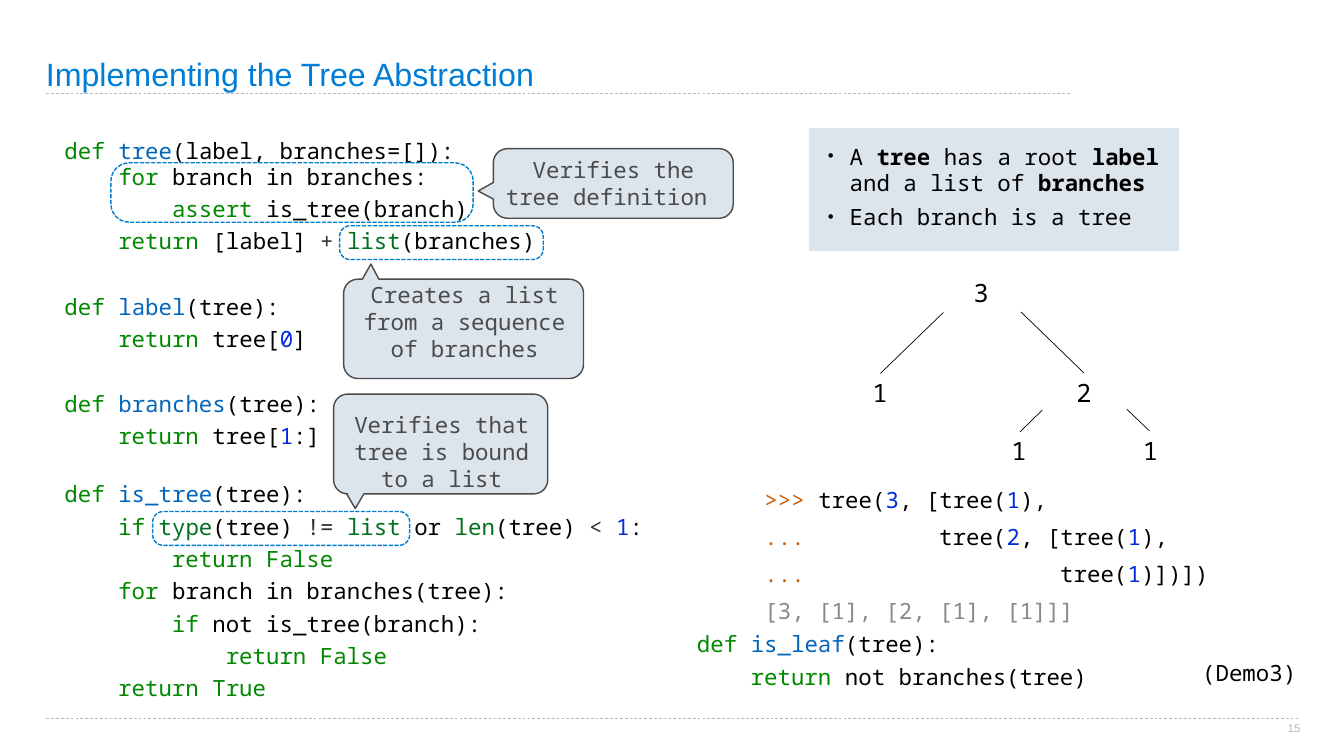
"""Builds the slide on implementing the tree abstraction."""
from math import cos, pi, sin

from lxml import etree
from pptx import Presentation
from pptx.dml.color import RGBColor
from pptx.enum.dml import MSO_LINE
from pptx.enum.shapes import MSO_CONNECTOR, MSO_SHAPE
from pptx.enum.text import MSO_ANCHOR, MSO_AUTO_SIZE, PP_ALIGN
from pptx.oxml.ns import qn
from pptx.util import Inches, Pt

STRAIGHT, ROUNDED = MSO_CONNECTOR.STRAIGHT, MSO_SHAPE.ROUNDED_RECTANGLE
DASH, SHORT_DASH = MSO_LINE.DASH, MSO_LINE.SQUARE_DOT
TOP, MIDDLE, BOTTOM = MSO_ANCHOR.TOP, MSO_ANCHOR.MIDDLE, MSO_ANCHOR.BOTTOM
LEFT, CENTER = PP_ALIGN.LEFT, PP_ALIGN.CENTER
GROW, FIXED = MSO_AUTO_SIZE.SHAPE_TO_FIT_TEXT, MSO_AUTO_SIZE.NONE
MONO, SANS = "Noto Sans Mono", "Arial"
COLORS = {
    "title": "007DD6", "rule": "B8B8B8", "panel": "DCE4EC", "gray": "4B4B4B",
    "highlight": "007ECF", "text": "000000", "keyword": "008800", "name": "0066BB",
    "number": "032ADD", "operator": "323333", "builtin": "01701F",
    "prompt": "C65E0A", "output": "888888",
}


def color(name):
    """Return the named colour."""
    return RGBColor.from_string(COLORS[name])


def assign(target, values):
    """Set each attribute in values on the target."""
    for name, value in values.items():
        setattr(target, name, value)


class SlideBuilder:
    """Holds the style and the current slide."""

    def __init__(self, presentation):
        """Add a slide with a title and a body."""
        self.slide = presentation.slides.add_slide(presentation.slide_layouts[1])
        self.shapes = self.slide.shapes
        self.font, self.size = MONO, 32

    def place(self, shape, box):
        """Move a shape to left, top, width and height."""
        names = ("left", "top", "width", "height")
        assign(shape, dict(zip(names, map(Inches, box))))

    def frame(self, shape, margins, anchor=MIDDLE, wrap=True, auto_size=FIXED):
        """Format the text frame of a shape and return it."""
        frame = shape.text_frame
        names = ("margin_left", "margin_top", "margin_right", "margin_bottom")
        assign(frame, dict(zip(names, map(Inches, margins))))
        assign(frame, {"vertical_anchor": anchor, "word_wrap": wrap, "auto_size": auto_size})
        return frame

    def add_lines(self, frame, lines, size=None, font=None, bullet=False, **paragraph_format):
        """Add lines of (style, text) runs; a bold style means bold black."""
        for index, line in enumerate(lines):
            paragraph = frame.paragraphs[0] if index == 0 else frame.add_paragraph()
            if bullet:
                self.bullet(paragraph)
            assign(paragraph, {"alignment": LEFT, "space_before": Pt(0), **paragraph_format})
            if bullet and index:
                paragraph.space_before = Pt(10)
            for style, text in line:
                run = paragraph.add_run()
                run.text = text
                assign(run.font, {"name": font or self.font, "size": Pt(size or self.size),
                                  "bold": style == "bold"})
                run.font.color.rgb = color("text" if style == "bold" else style)

    def bullet(self, paragraph):
        """Give a paragraph a small round bullet and a hanging indent."""
        properties = paragraph._p.get_or_add_pPr()
        properties.set("marL", str(Inches(0.52)))
        properties.set("indent", str(Inches(-0.43)))
        etree.SubElement(properties, qn("a:buSzPct")).set("val", "75000")
        etree.SubElement(properties, qn("a:buChar")).set("char", "•")

    def title(self, text, box):
        """Fill the title placeholder."""
        shape = self.shapes.title
        self.place(shape, box)
        frame = self.frame(shape, (0, 0, 0, 0), BOTTOM)
        self.add_lines(frame, [[("title", text)]], 46, SANS, line_spacing=0.9)

    def panel(self, lines, box):
        """Fill the body placeholder as a shaded bullet list."""
        shape = self.slide.placeholders[1]
        self.place(shape, box)
        shape.fill.solid()
        shape.fill.fore_color.rgb = color("panel")
        self.add_lines(self.frame(shape, (0.29,) * 4, TOP), lines, bullet=True)

    def code(self, lines, box, anchor=MIDDLE, spacing=1.2):
        """Add a block of coloured code."""
        shape = self.shapes.add_textbox(*map(Inches, box))
        frame = self.frame(shape, (0.06,) * 4, anchor, False, GROW)
        self.add_lines(frame, lines, line_spacing=spacing)
        return frame

    def label(self, text, box, size=32, style="text", font=MONO, margin=0.16, wrap=True):
        """Add a short centred label."""
        shape = self.shapes.add_textbox(*map(Inches, box))
        frame = self.frame(shape, (margin, 0, 0.06 if margin else 0, 0), wrap=wrap)
        self.add_lines(frame, [[(style, text)]], size, font, alignment=CENTER)

    def line(self, start, end, style="text", dash=None):
        """Add a straight line."""
        connector = self.shapes.add_connector(STRAIGHT, *map(Inches, start + end))
        assign(connector.line, {"width": Pt(1), "dash_style": dash})
        connector.line.color.rgb = color(style)
        etree.SubElement(connector._element.spPr, qn("a:effectLst"))

    def highlight(self, box):
        """Add a dashed rounded outline around code."""
        shape = self.shapes.add_shape(ROUNDED, *map(Inches, box))
        shape.adjustments[0] = 0.31
        shape.shadow.inherit = False
        shape.fill.background()
        assign(shape.line, {"width": Pt(2), "dash_style": SHORT_DASH})
        shape.line.color.rgb = color("highlight")

    def callout(self, text, edges, tail, tail_corner, radius=0.28, steps=8):
        """Add a rounded callout whose tail follows the given clockwise corner."""
        left, top, right, bottom = edges
        centers = [(left + radius, top + radius), (right - radius, top + radius),
                   (right - radius, bottom - radius), (left + radius, bottom - radius)]
        points = []
        for corner, (x, y) in enumerate(centers):
            for step in range(steps + 1):
                angle = pi + (corner + step / steps) * pi / 2
                points.append((x + radius * cos(angle), y + radius * sin(angle)))
            if corner == tail_corner:
                points += tail
        points = [(Inches(x), Inches(y)) for x, y in points]
        builder = self.shapes.build_freeform(*points[0])
        builder.add_line_segments(points[1:])
        shape = builder.convert_to_shape()
        shape.shadow.inherit = False
        shape.fill.solid()
        shape.fill.fore_color.rgb = color("panel")
        shape.line.width = Pt(2)
        shape.line.color.rgb = color("gray")
        frame = self.frame(shape, (0.19, 0.06, 0.15, 0.06))
        self.add_lines(frame, [[("gray", text)]], alignment=CENTER)


def definition(name, parameters):
    """Return the runs of a function header."""
    return [("keyword", "def "), ("name", name), ("text", f"({parameters}):")]


def statement(depth, keyword, *runs):
    """Return the runs of an indented statement."""
    return [("keyword", " " * 4 * depth + keyword), *runs]


def call(prompt, indent, number, ending):
    """Return the runs of one interpreter line."""
    return [("prompt", prompt), ("text", " " * indent + "tree("),
            ("number", number), ("text", ending)]


def main():
    """Build and save the presentation."""
    presentation = Presentation()
    assign(presentation, {"slide_width": Inches(26.67), "slide_height": Inches(15)})
    page = SlideBuilder(presentation)
    for end, y in ((21.26, 1.86), (25.78, 14.26)):
        page.line((0.92, y), (end, y), "rule", DASH)
    page.title("Implementing the Tree Abstraction", (0.91, 0.03, 20.31, 1.83))
    page.label("(Demo3)", (23.65, 13.01, 2.18, 0.65), wrap=False)
    page.label("15", (25.55, 14.32, 0.26, 0.24), 16, "rule", SANS, 0, False)

    page.code([statement(1, "for", ("text", " branch in branches:")),
               statement(2, "assert", ("text", " is_tree(branch)")),
               statement(1, "return", ("text", " [label] "), ("operator", "+ "),
                         ("builtin", "list"), ("text", "(branches)"))],
              (1.22, 3.19, 9.49, 1.91), BOTTOM)
    page.code([definition("is_leaf", "tree"),
               statement(1, "return", ("text", " not branches(tree)"))],
              (13.77, 12.41, 7.88, 1.27))
    page.highlight((3.03, 10.15, 5.1, 0.67))
    page.callout("Verifies that tree is bound to a list", (6.62, 7.82, 10.87, 9.8),
                 [(7.22, 9.8), (7.05, 10.09), (6.88, 9.8)], 2)
    page.highlight((6.74, 4.48, 4.04, 0.67))
    page.callout("Creates a list from a sequence of branches", (6.82, 5.54, 11.58, 7.51),
                 [(7.19, 5.54), (7.36, 5.24), (7.52, 5.54)], 0)
    selectors = page.code(
        [definition("label", "tree"),
         statement(1, "return", ("text", " tree["), ("number", "0"), ("text", "]")),
         definition("branches", "tree"),
         statement(1, "return", ("text", " tree["), ("number", "1"), ("text", ":]"))],
        (1.22, 5.72, 5.48, 3.17))
    selectors.paragraphs[2].space_before = Pt(46)
    page.code([definition("is_tree", "tree"),
               statement(1, "if ", ("builtin", "type"), ("text", "(tree) "),
                         ("operator", "!= "), ("builtin", "list"), ("text", " or "),
                         ("builtin", "len"), ("text", "(tree) "), ("operator", "< "),
                         ("number", "1"), ("text", ":")),
               statement(2, "return False"),
               statement(1, "for", ("text", " branch in branches(tree):")),
               statement(2, "if", ("text", " not is_tree(branch):")),
               statement(3, "return False"),
               statement(1, "return True")], (1.22, 9.53, 11.9, 4.44), BOTTOM)
    page.code([definition("tree", "label, branches=[]")], (1.22, 2.56, 7.88, 0.64), TOP)
    page.highlight((2.2, 3.23, 7.19, 1.18))
    page.callout(" Verifies the tree definition", (9.79, 2.95, 14.55, 4.33),
                 [(9.79, 3.95), (9.49, 3.79), (9.79, 3.62)], 3)
    page.panel([[("text", "A "), ("bold", "tree"), ("text", " has a root "),
                 ("bold", "label"), ("text", " and a list of "), ("bold", "branches")],
                [("text", "Each branch is a tree")]], (16.05, 2.54, 7.35, 2.44))
    page.code([call(">>> ", 0, "3", ", [tree(") + [("number", "1"), ("text", "),")],
               call("... ", 9, "2", ", [tree(") + [("number", "1"), ("text", "),")],
               call("... ", 18, "1", ")])])"),
               [("output", "[3, [1], [2, [1], [1]]]")]],
              (15.11, 9.8, 9.22, 2.22), spacing=Pt(53))

    for text, x, y in (("3", 18.56, 5.51), ("1", 16.55, 7.49), ("2", 20.6, 7.49),
                       ("1", 19.31, 8.64), ("1", 21.92, 8.64)):
        page.label(text, (x, y, 1.72, 0.59), 36)
    for start, end in (((18.72, 6.2), (17.47, 7.41)), ((20.26, 6.19), (21.51, 7.4)),
                       ((20.68, 8.14), (20.24, 8.57)), ((22.36, 8.12), (22.81, 8.55))):
        page.line(start, end)
    presentation.save("out.pptx")


if __name__ == "__main__":
    main()
